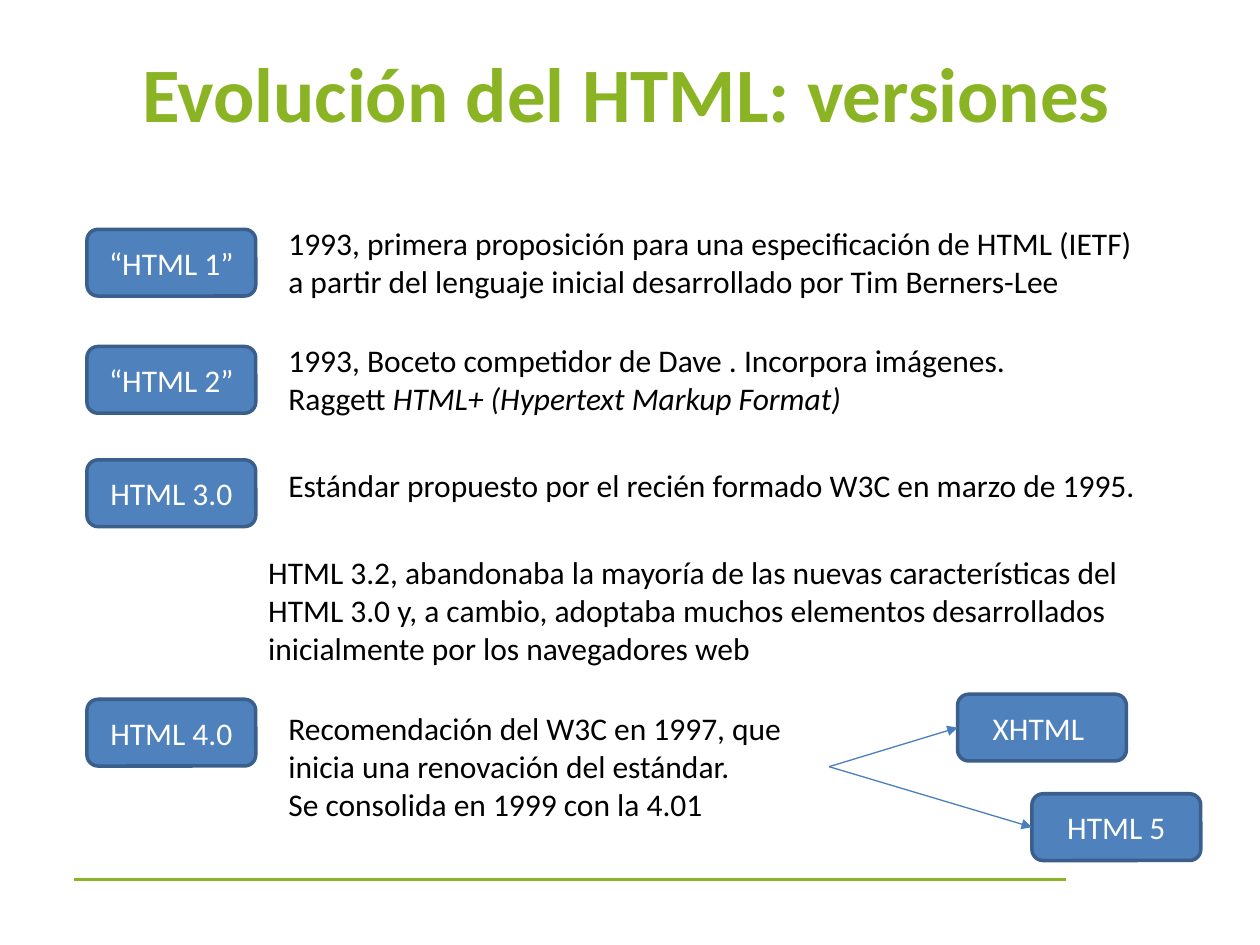
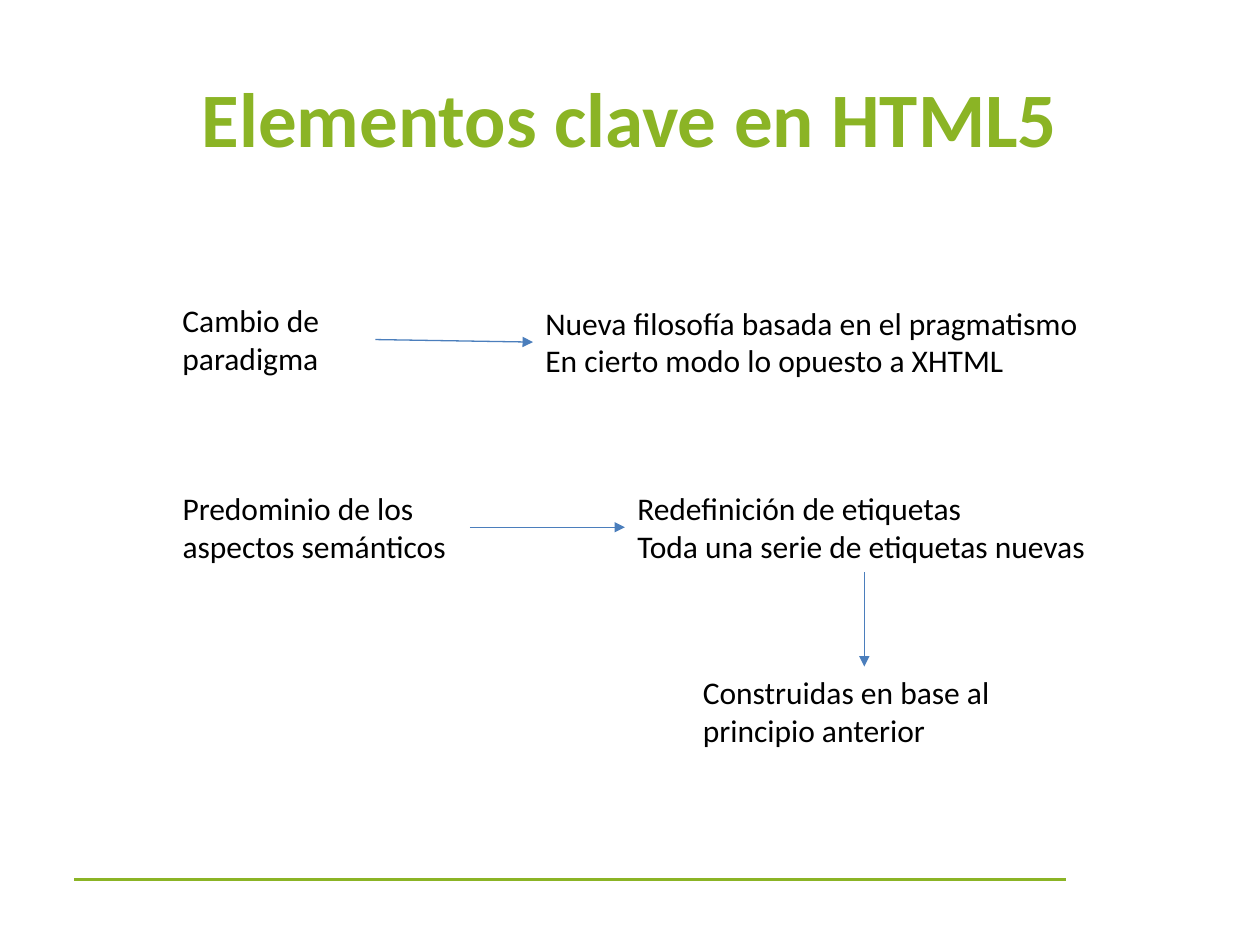
import dataclasses
import pptx
import pptx.dml.color
import pptx.enum.shapes
import pptx.enum.text
import pptx.oxml.ns
import pptx.util
import lxml.etree

COLORS = {
    "accent": "8BB425",
    "badge": "4F81BD",
    "badge_line": "3A5F8C",
    "arrow": "4B7EBC",
    "text": "000000",
    "badge_text": "FFFFFF",
}
FONT = "Calibri"
COLUMNS, ROWS = 100, 75
CELL = pptx.util.Inches(0.1)
BADGE_WIDTH, BADGE_HEIGHT = 13.4, 5.3
TOP, LEFT, BOTTOM, RIGHT = range(4)


@dataclasses.dataclass
class Box:
    """A region measured in grid columns and rows."""
    left: float
    top: float
    width: float
    height: float

    def inner(self, left, top, width, height):
        return Box(self.left + left, self.top + top, width, height)

    def lengths(self):
        return [round(value * CELL) for value in dataclasses.astuple(self)]


def color(name):
    return pptx.dml.color.RGBColor.from_string(COLORS[name])


def write(frame, paragraphs, size=18, fill="text", bold=False, align="LEFT", anchor="TOP"):
    """Each paragraph is a string or a list of (text, italic); a None item is a line break."""
    frame.vertical_anchor = getattr(pptx.enum.text.MSO_ANCHOR, anchor)
    for index, content in enumerate(paragraphs):
        paragraph = frame.add_paragraph() if index else frame.paragraphs[0]
        paragraph.alignment = getattr(pptx.enum.text.PP_ALIGN, align)
        for item in [(content, False)] if isinstance(content, str) else content:
            if item is None:
                paragraph.add_line_break()
                continue
            run = paragraph.add_run()
            run.text, run.font.italic = item
            run.font.name = FONT
            run.font.size = pptx.util.Pt(size)
            run.font.bold = bold
            run.font.color.rgb = color(fill)


def add_text(slide, box, *paragraphs, wrap=True):
    shape = slide.shapes.add_textbox(*box.lengths())
    shape.text_frame.word_wrap = wrap
    shape.text_frame.auto_size = pptx.enum.text.MSO_AUTO_SIZE.SHAPE_TO_FIT_TEXT
    write(shape.text_frame, paragraphs)
    return shape


def add_badge(slide, box, label):
    shape = slide.shapes.add_shape(
        pptx.enum.shapes.MSO_SHAPE.ROUNDED_RECTANGLE, *box.lengths())
    shape.shadow.inherit = False
    shape.fill.solid()
    shape.fill.fore_color.rgb = color("badge")
    shape.line.color.rgb = color("badge_line")
    shape.line.width = pptx.util.Pt(2)
    write(shape.text_frame, [label], fill="badge_text", align="CENTER", anchor="MIDDLE")
    return shape


def add_line(slide, fill, width, ends=(0, 0, 0, 0)):
    line = slide.shapes.add_connector(pptx.enum.shapes.MSO_CONNECTOR.STRAIGHT, *ends)
    line.line.color.rgb = color(fill)
    line.line.width = pptx.util.Pt(width)
    lxml.etree.SubElement(line._element.spPr, pptx.oxml.ns.qn("a:effectLst"))
    return line


def add_arrow(slide, source, source_side, target, target_side):
    arrow = add_line(slide, "arrow", 0.75)
    arrow.begin_connect(source, source_side)
    arrow.end_connect(target, target_side)
    outline = arrow._element.spPr.find(pptx.oxml.ns.qn("a:ln"))
    lxml.etree.SubElement(outline, pptx.oxml.ns.qn("a:tailEnd"), type="triangle")


def add_slide(presentation, title, title_box):
    """Slide with the shared title style and footer rule."""
    slide = presentation.slides.add_slide(presentation.slide_layouts[5])
    heading = slide.shapes.title
    heading.left, heading.top, heading.width, heading.height = title_box.lengths()
    write(heading.text_frame, [title], size=44, fill="accent", bold=True,
          align="CENTER", anchor="MIDDLE")
    left, top, width, _ = Box(5.9, 69.8, 78.7, 0).lengths()
    add_line(slide, "accent", 2.25, (left, top, left + width, top))
    return slide


def add_versions(slide, box):
    """Version badges with their descriptions; returns the last description."""
    versions = [
        # label, badge row, text row, text columns, text rows, paragraphs
        ("“HTML 1”", 0.9, 0, 69, 7.1, [
            "1993, primera proposición para una especificación de HTML (IETF) "
            "a partir del lenguaje inicial desarrollado por Tim Berners-Lee"]),
        ("“HTML 2”", 10.2, 9.3, 60.8, 7.1, [
            [("1993, Boceto competidor de Dave . Incorpora imágenes. ", False), None,
             ("Raggett ", False), ("HTML+ (Hypertext Markup Format)", True)]]),
        ("HTML 3.0", 19.2, 19.2, 70.1, 4, [
            "Estándar propuesto por el recién formado W3C en marzo de 1995."]),
        ("HTML 4.0", 38.2, 38.5, 43.9, 10.1, [
            "Recomendación del W3C en 1997, que inicia una renovación del estándar.",
            "Se consolida en 1999 con la 4.01"]),
    ]
    for label, badge_row, text_row, columns, rows, paragraphs in versions:
        add_badge(slide, box.inner(0, badge_row, BADGE_WIDTH, BADGE_HEIGHT), label)
        description = add_text(slide, box.inner(15, text_row, columns, rows), *paragraphs)
    add_text(slide, box.inner(BADGE_WIDTH, 26.1, 71.8, 10.1),
             "HTML 3.2, abandonaba la mayoría de las nuevas características del HTML 3.0 y, "
             "a cambio, adoptaba muchos elementos desarrollados inicialmente por los "
             "navegadores web")
    return description


def add_successors(slide, box, source):
    """Badges that branch off from the source text."""
    for label, left, top in [("HTML 5", 5.9, 7.9), ("XHTML ", 0, 0)]:
        badge = add_badge(slide, box.inner(left, top, BADGE_WIDTH, BADGE_HEIGHT), label)
        add_arrow(slide, source, RIGHT, badge, LEFT)


def add_key_elements(slide, box):
    """Key ideas on the left, with arrows to their consequences."""
    paradigm = add_text(slide, box.inner(0, 0, 16.3, 7.1), "Cambio de paradigma")
    philosophy = add_text(slide, box.inner(28.8, 0.2, 44.8, 7.1),
                          "Nueva filosofía basada en el pragmatismo",
                          "En cierto modo lo opuesto a XHTML", wrap=False)
    semantics = add_text(slide, box.inner(0, 14.9, 23.8, 7.1),
                         "Predominio de los aspectos semánticos")
    tags = add_text(slide, box.inner(36.1, 14.9, 38, 7.1),
                    "Redefinición de etiquetas",
                    "Toda una serie de etiquetas nuevas", wrap=False)
    principle = add_text(slide, box.inner(41.3, 29.5, 27.6, 7.1),
                         "Construidas en base al principio anterior")
    add_arrow(slide, paradigm, RIGHT, philosophy, LEFT)
    add_arrow(slide, semantics, RIGHT, tags, LEFT)
    add_arrow(slide, tags, BOTTOM, principle, TOP)


def main():
    presentation = pptx.Presentation()
    presentation.slide_width = COLUMNS * CELL
    presentation.slide_height = ROWS * CELL

    # Versions of the language
    slide = add_slide(presentation, "Evolución del HTML: versiones", Box(3.3, 2.9, 92.9, 8.7))
    html4 = add_versions(slide, Box(6.9, 17.3, 85.2, 48.6))
    add_successors(slide, Box(76, 55.1, 19.3, 13.2), html4)

    # Key elements
    slide = add_slide(presentation, "Elementos clave en HTML5", Box(5, 3, 90, 12.5))
    add_key_elements(slide, Box(13.5, 23.4, 74.1, 36.6))

    presentation.save("out.pptx")


if __name__ == "__main__":
    main()
